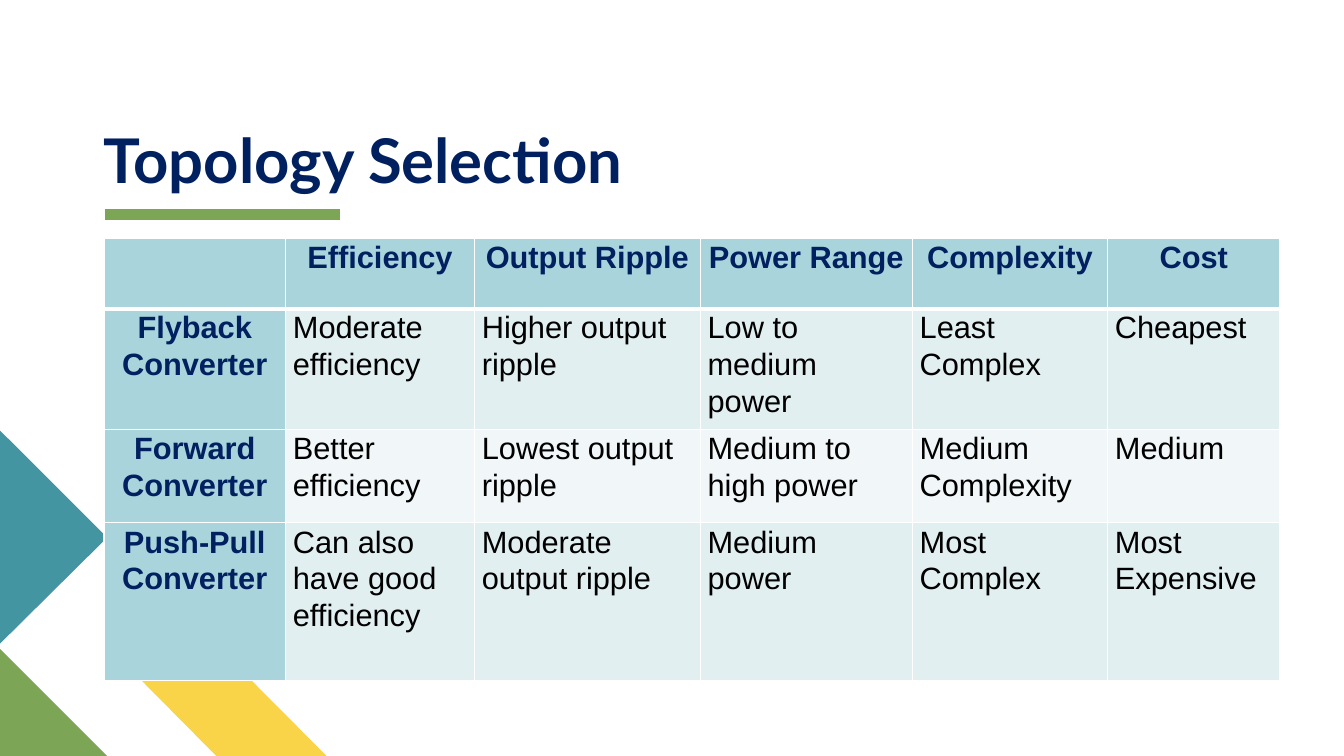
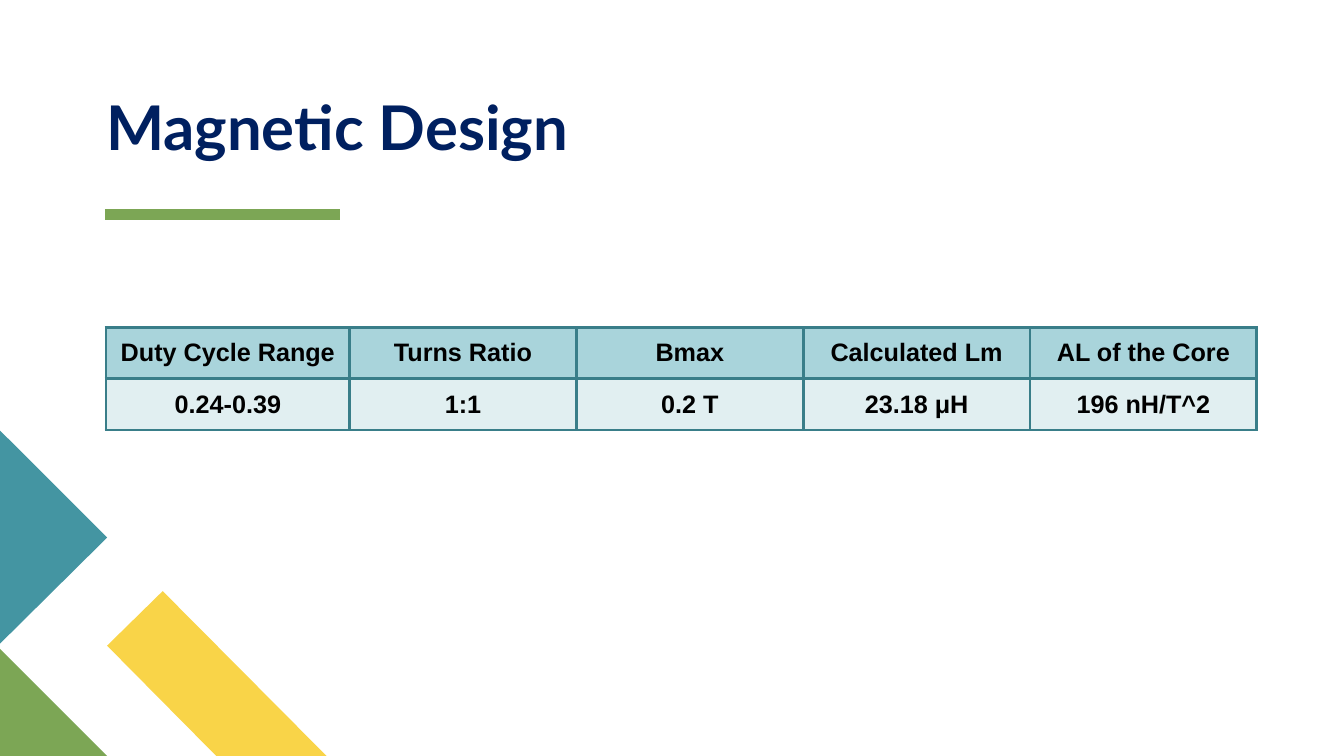
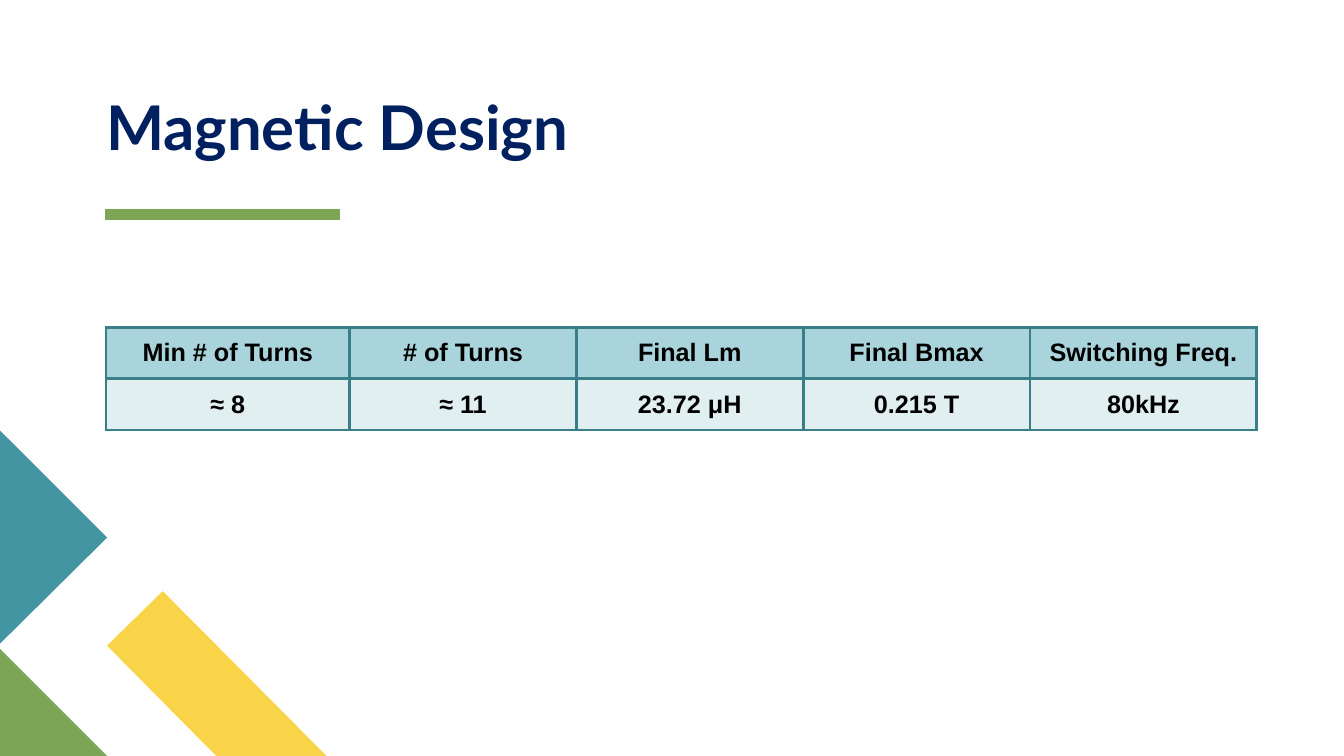
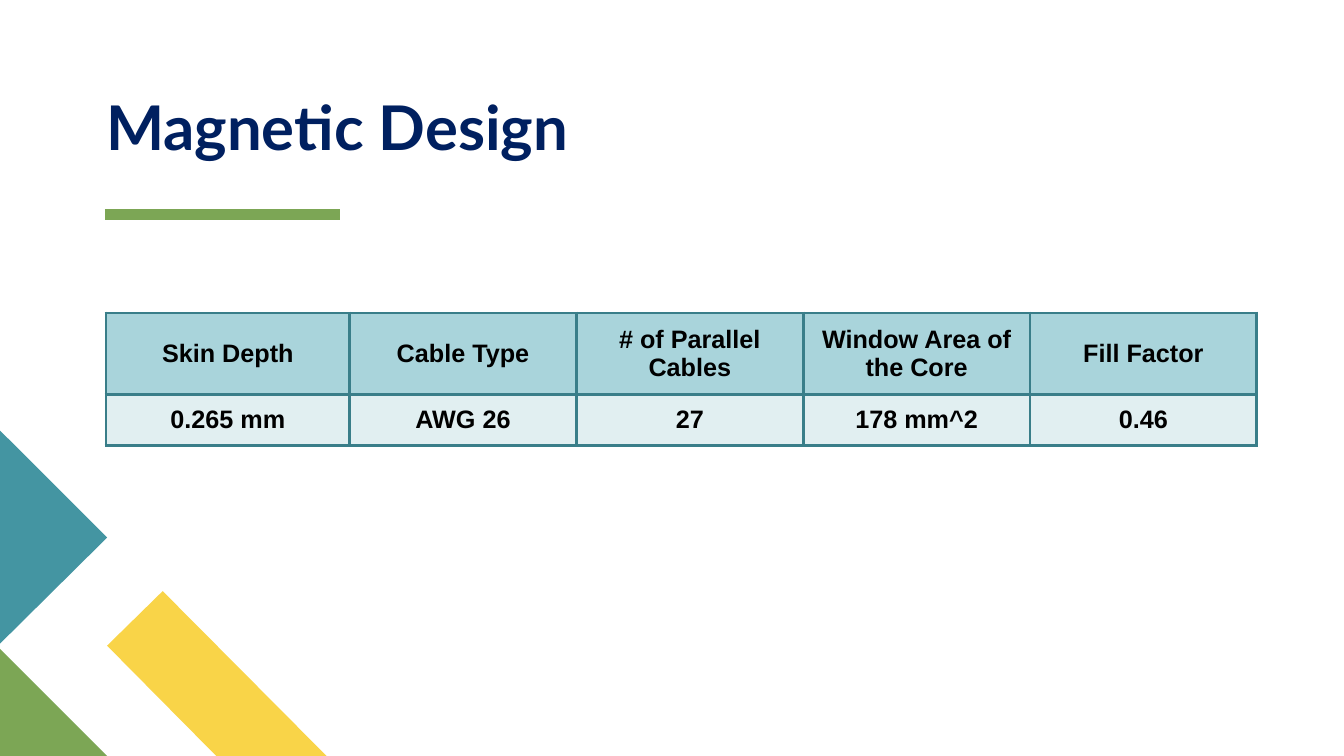
from dataclasses import dataclass

from lxml.etree import SubElement
from pptx import Presentation
from pptx.dml.color import RGBColor
from pptx.enum.shapes import MSO_CONNECTOR
from pptx.enum.text import MSO_ANCHOR, PP_ALIGN
from pptx.oxml.ns import qn
from pptx.util import Pt

PX = 9525  # EMU in one px, 96 px to the inch


@dataclass(frozen=True)
class Theme:
    navy: str = "002060"
    black: str = "000000"
    white: str = "FFFFFF"
    teal: str = "4495A2"
    green: str = "7CA655"
    yellow: str = "F9D448"
    header: str = "A9D4DB"
    band: str = "E1EFF1"
    pale_band: str = "F1F7F8"
    grid: str = "397E89"
    title_font: str = "Lato"
    body_font: str = "Arial"
    title_size: int = 44
    topology_size: int = 22
    magnetic_size: int = 18
    rule_width: int = 8


theme = Theme()


def style_text(frame, font, size, color, bold, align, spacing):
    for para in frame.paragraphs:
        para.alignment = align
        para.line_spacing = spacing
        for span in para.runs:
            span.font.name = font
            span.font.size = Pt(size)
            span.font.bold = bold
            span.font.color.rgb = RGBColor.from_string(color)


def set_borders(cell, color, widths):
    properties = cell._tc.get_or_add_tcPr()
    for side, width in zip("LRTB", widths):
        line = SubElement(properties, qn(f"a:ln{side}"), w=str(Pt(width)))
        fill = SubElement(line, qn("a:solidFill"))
        SubElement(fill, qn("a:srgbClr"), val=color)


# Content of the four pages
topology = dict(
    title="Topology Selection", title_at=(99, 123), table_at=(99, 227),
    columns=[173, 180, 215, 202, 186, 164], heights=[67, 115, 89, 150],
    rows=[
        ["", "Efficiency", "Output Ripple", "Power Range", "Complexity", "Cost"],
        ["Flyback Converter", "Moderate efficiency", "Higher output ripple",
         "Low to medium power", "Least Complex", "Cheapest"],
        ["Forward Converter", "Better efficiency", "Lowest output ripple",
         "Medium to high power", "Medium Complexity", "Medium"],
        ["Push-Pull Converter", "Can also have good efficiency",
         "Moderate output ripple", "Medium power", "Most Complex", "Most Expensive"],
    ],
    comparison=True, size=theme.topology_size, spacing=1.07,
    margins=(7, 0), anchor=MSO_ANCHOR.TOP,
)
magnetic = dict(
    title="Magnetic Design", title_at=(101, 92), table_at=(101, 312),
    columns=[232] + [216] * 4, heights=[46, 46],
    comparison=False, size=theme.magnetic_size, spacing=1.0,
    margins=(10, 10), anchor=MSO_ANCHOR.MIDDLE,
)
contents = [
    topology,
    magnetic | dict(rows=[
        ["Duty Cycle Range", "Turns Ratio", "Bmax", "Calculated Lm", "AL of the Core"],
        ["0.24-0.39", "1:1", "0.2 T", "23.18 μH", "196 nH/T^2"],
    ]),
    magnetic | dict(rows=[
        ["Min # of Turns", "# of Turns", "Final Lm", "Final Bmax", "Switching Freq."],
        ["≈ 8", "≈ 11", "23.72 μH", "0.215 T", "80kHz"],
    ]),
    magnetic | dict(table_at=(101, 298), heights=[73, 46], rows=[
        ["Skin Depth", "Cable Type", "# of Parallel Cables",
         "Window Area of the Core", "Fill Factor"],
        ["0.265 mm", "AWG 26", "27", "178 mm^2", "0.46"],
    ]),
]

# Corner decoration shared by all pages
corner_shapes = [
    (theme.yellow, [(311, 720), (206, 720), (102, 615), (155, 563)]),
    (theme.green, [(102, 720), (0, 720), (0, 618)]),
    (theme.teal, [(0, 410), (102, 512), (0, 613)]),
]

deck = Presentation()
deck.slide_width = 1280 * PX
deck.slide_height = 720 * PX

for content in contents:
    page = deck.slides.add_slide(deck.slide_layouts[6])

    # Corner shapes
    for color, points in corner_shapes:
        builder = page.shapes.build_freeform(*points[0], scale=PX)
        builder.add_line_segments(points[1:], close=True)
        corner = builder.convert_to_shape()
        corner.shadow.inherit = False
        corner.fill.solid()
        corner.fill.fore_color.rgb = RGBColor.from_string(color)
        corner.line.fill.background()

    # Rule under the title
    rule = page.shapes.add_connector(
        MSO_CONNECTOR.STRAIGHT, 100 * PX, 204 * PX, 324 * PX, 204 * PX)
    rule.line.color.rgb = RGBColor.from_string(theme.green)
    rule.line.width = Pt(theme.rule_width)
    SubElement(rule._element.spPr, qn("a:effectLst"))

    # Title
    left, top = content["title_at"]
    box = page.shapes.add_textbox(left * PX, top * PX, 518 * PX, 64 * PX)
    frame = box.text_frame
    frame.word_wrap = True
    frame.vertical_anchor = MSO_ANCHOR.BOTTOM
    frame.margin_left = frame.margin_right = 0
    frame.margin_top = frame.margin_bottom = 0
    frame.text = content["title"]
    style_text(frame, theme.title_font, theme.title_size, theme.navy,
               True, PP_ALIGN.LEFT, 0.9)

    # Table
    rows, columns, heights = content["rows"], content["columns"], content["heights"]
    left, top = content["table_at"]
    table = page.shapes.add_table(
        len(rows), len(columns), left * PX, top * PX,
        sum(columns) * PX, sum(heights) * PX).table
    table.horz_banding = False
    for column, width in zip(table.columns, columns):
        column.width = width * PX
    for row, height in zip(table.rows, heights):
        row.height = height * PX

    side_margin, end_margin = content["margins"]
    comparison = content["comparison"]
    for r, texts in enumerate(rows):
        for c, text in enumerate(texts):
            cell = table.cell(r, c)
            is_label = r == 0 or (comparison and c == 0)
            if comparison:
                set_borders(cell, theme.white,
                            (1, 1, 3 if r == 1 else 1, 3 if r == 0 else 1))
            else:
                set_borders(cell, theme.grid, (2.25,) * 4)
            band = theme.band if r % 2 else theme.pale_band
            cell.fill.solid()
            cell.fill.fore_color.rgb = RGBColor.from_string(
                theme.header if is_label else band)
            cell.margin_left = cell.margin_right = side_margin * PX
            cell.margin_top = cell.margin_bottom = end_margin * PX
            cell.vertical_anchor = content["anchor"]
            cell.text_frame.text = text
            style_text(
                cell.text_frame, theme.body_font, content["size"],
                theme.navy if comparison and is_label else theme.black,
                is_label or not comparison,
                PP_ALIGN.CENTER if is_label or not comparison else PP_ALIGN.LEFT,
                content["spacing"])

deck.save("out.pptx")
